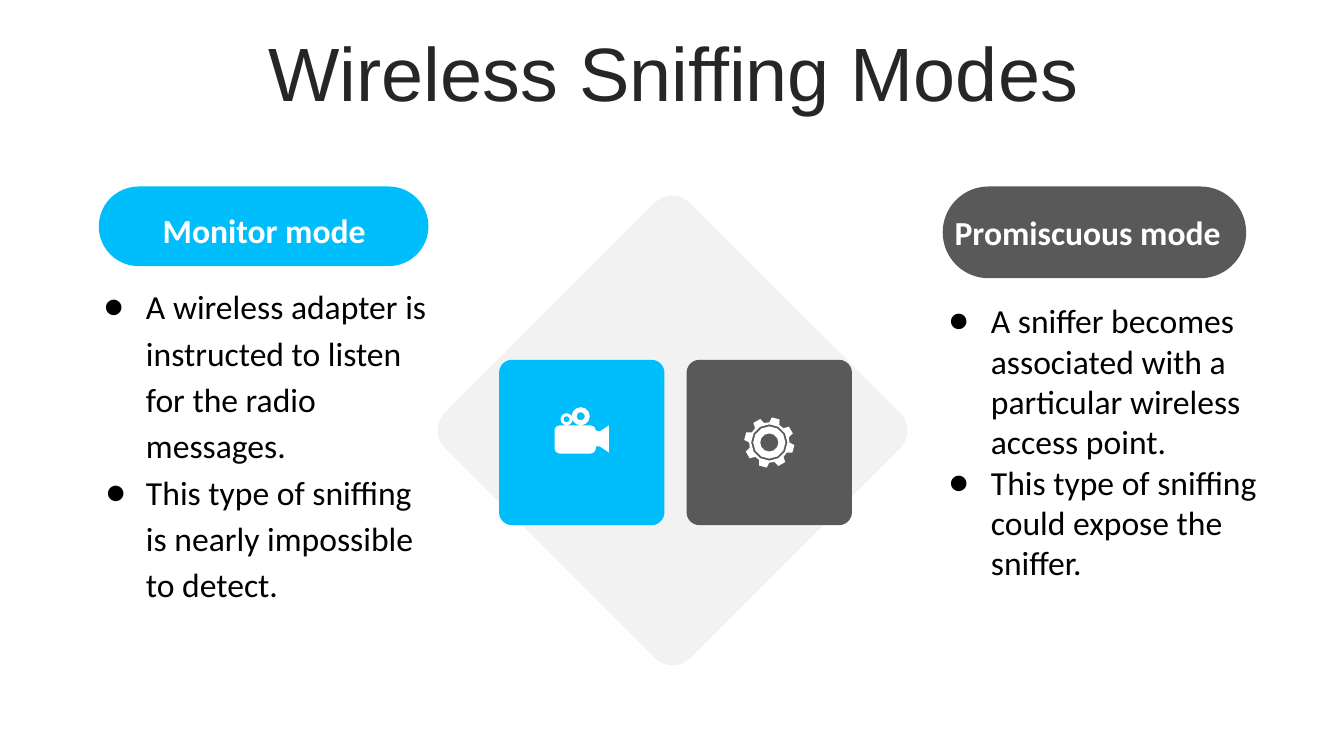
"""Build a slide that compares the two wireless sniffing modes."""
from math import cos, radians, sin

from lxml.etree import SubElement
from pptx import Presentation
from pptx.dml.color import RGBColor
from pptx.enum.shapes import MSO_SHAPE
from pptx.enum.text import MSO_ANCHOR, MSO_AUTO_SIZE, PP_ALIGN
from pptx.oxml.ns import qn
from pptx.util import Inches, Pt

BLUE = RGBColor(0x00, 0xBD, 0xFB)
GRAY = RGBColor(0x59, 0x59, 0x59)
PALE = RGBColor(0xF2, 0xF2, 0xF2)
INK = RGBColor(0x26, 0x26, 0x26)
BLACK = RGBColor(0x00, 0x00, 0x00)
WHITE = RGBColor(0xFF, 0xFF, 0xFF)


def paint(shape, color, rounding=None):
    shape.shadow.inherit = False
    shape.fill.solid()
    shape.fill.fore_color.rgb = color
    shape.line.fill.background()
    if rounding:
        shape.adjustments[0] = rounding


def arc(x, y, radius, start=0, stop=330, steps=11):
    angles = [radians(start + (stop - start) * step / steps) for step in range(steps + 1)]
    return [(x + radius * cos(angle), y + radius * sin(angle)) for angle in angles]


deck = Presentation()
deck.slide_width, deck.slide_height = Inches(13.33), Inches(7.5)
page = deck.slides.add_slide(deck.slide_layouts[5])

title = page.shapes.title
title.left, title.top = Inches(0.35), Inches(0.37)
title.width, title.height = Inches(12.66), Inches(0.79)
title.text_frame.text = "Wireless Sniffing Modes"
title.text_frame.vertical_anchor = MSO_ANCHOR.MIDDLE
heading = title.text_frame.paragraphs[0]
heading.alignment, heading.line_spacing = PP_ALIGN.CENTER, 0.9
heading.font.name, heading.font.size = "Arial", Pt(54)
heading.font.color.rgb = INK

blocks = [
    ((4.95, 2.55, 3.44, 3.44), 0.072, PALE, 315),
    ((6.81, 3.57, 1.64, 1.64), 0.078, GRAY, 0),
    ((4.95, 3.57, 1.64, 1.64), 0.078, BLUE, 0),
]
for place, rounding, color, rotation in blocks:
    block = page.shapes.add_shape(MSO_SHAPE.ROUNDED_RECTANGLE, *map(Inches, place))
    block.rotation = rotation
    paint(block, color, rounding)

label_font = {"name": "Calibri", "size": Pt(24), "bold": True}
point_font = {"name": "Calibri", "size": Pt(24), "bold": False}
modes = [
    (GRAY, (9.35, 1.85, 3.01, 0.91), [
        ((9.23, 2.93, 3.54, 2.93), [
            "A sniffer becomes associated with a particular wireless access point.",
            "This type of sniffing could expose the sniffer.",
        ], PP_ALIGN.LEFT, None, [0.42, 0.42]),
        ((9.37, 2.05, 3.26, 0.51), ["Promiscuous mode"], PP_ALIGN.LEFT, None, []),
    ]),
    (BLUE, (0.98, 1.85, 3.27, 0.79), [
        ((0.85, 2.73, 3.54, 3.76), [
            "A wireless adapter is instructed to listen for the radio messages.",
            "This type of sniffing is nearly impossible to detect.",
        ], PP_ALIGN.LEFT, 1.15, [0.42, 0.4]),
        ((1.09, 2.03, 3.06, 0.5), ["Monitor mode"], PP_ALIGN.CENTER, None, []),
    ]),
]
for color, pill_place, texts in modes:
    group = page.shapes.add_group_shape()
    pill = group.shapes.add_shape(MSO_SHAPE.ROUNDED_RECTANGLE, *map(Inches, pill_place))
    paint(pill, color, 0.5)
    for place, lines, alignment, spacing, hangs in texts:
        box = group.shapes.add_textbox(*map(Inches, place))
        box.text_frame.word_wrap = True
        box.text_frame.auto_size = MSO_AUTO_SIZE.SHAPE_TO_FIT_TEXT
        box.text_frame.text = "\n".join(lines)
        for para in box.text_frame.paragraphs:
            para.alignment, para.line_spacing = alignment, spacing
            span = para.runs[0]
            for key, value in (point_font if hangs else label_font).items():
                setattr(span.font, key, value)
            span.font.color.rgb = BLACK if hangs else WHITE
        for para, hang in zip(box.text_frame.paragraphs, hangs):
            layout = para._p.get_or_add_pPr()
            layout.set("marL", str(Inches(0.5)))
            layout.set("indent", str(-Inches(hang)))
            bullet_color = SubElement(layout, qn("a:buClr"))
            SubElement(bullet_color, qn("a:srgbClr")).set("val", str(BLACK))
            SubElement(layout, qn("a:buFont")).set("typeface", "Calibri")
            SubElement(layout, qn("a:buChar")).set("char", "●")

gear_x, gear_y = 7.63, 4.39
teeth = []
for middle in range(15, 375, 45):
    for radius, offset in [(0.2, -15), (0.25, -9), (0.25, 9), (0.2, 15)]:
        teeth += arc(gear_x, gear_y, radius, middle + offset)[:1]
gear = [teeth] + [arc(gear_x, gear_y, radius) for radius in (0.18, 0.16, 0.09)]

camera_body = (
    arc(5.55, 4.45, 0.05, 90, 180, 2)
    + arc(5.55, 4.27, 0.05, 180, 270, 2)
    + arc(5.86, 4.27, 0.05, 270, 360, 2)
    + [(5.95, 4.28), (6.04, 4.22), (6.04, 4.49), (5.95, 4.43), (5.91, 4.43)]
    + arc(5.86, 4.45, 0.05, 0, 90, 2)
)
reels = [(5.76, 4.13, 0.09), (5.76, 4.13, 0.04), (5.62, 4.16, 0.06), (5.62, 4.16, 0.03)]
camera = [camera_body] + [arc(*reel) for reel in reels]

for outlines in (gear, camera):
    contours = [[(Inches(x), Inches(y)) for x, y in outline] for outline in outlines]
    builder = page.shapes.build_freeform(*contours[0][0])
    builder.add_line_segments(contours[0][1:])
    for contour in contours[1:]:
        builder.move_to(*contour[0])
        builder.add_line_segments(contour[1:])
    paint(builder.convert_to_shape(), WHITE)

deck.save("out.pptx")
